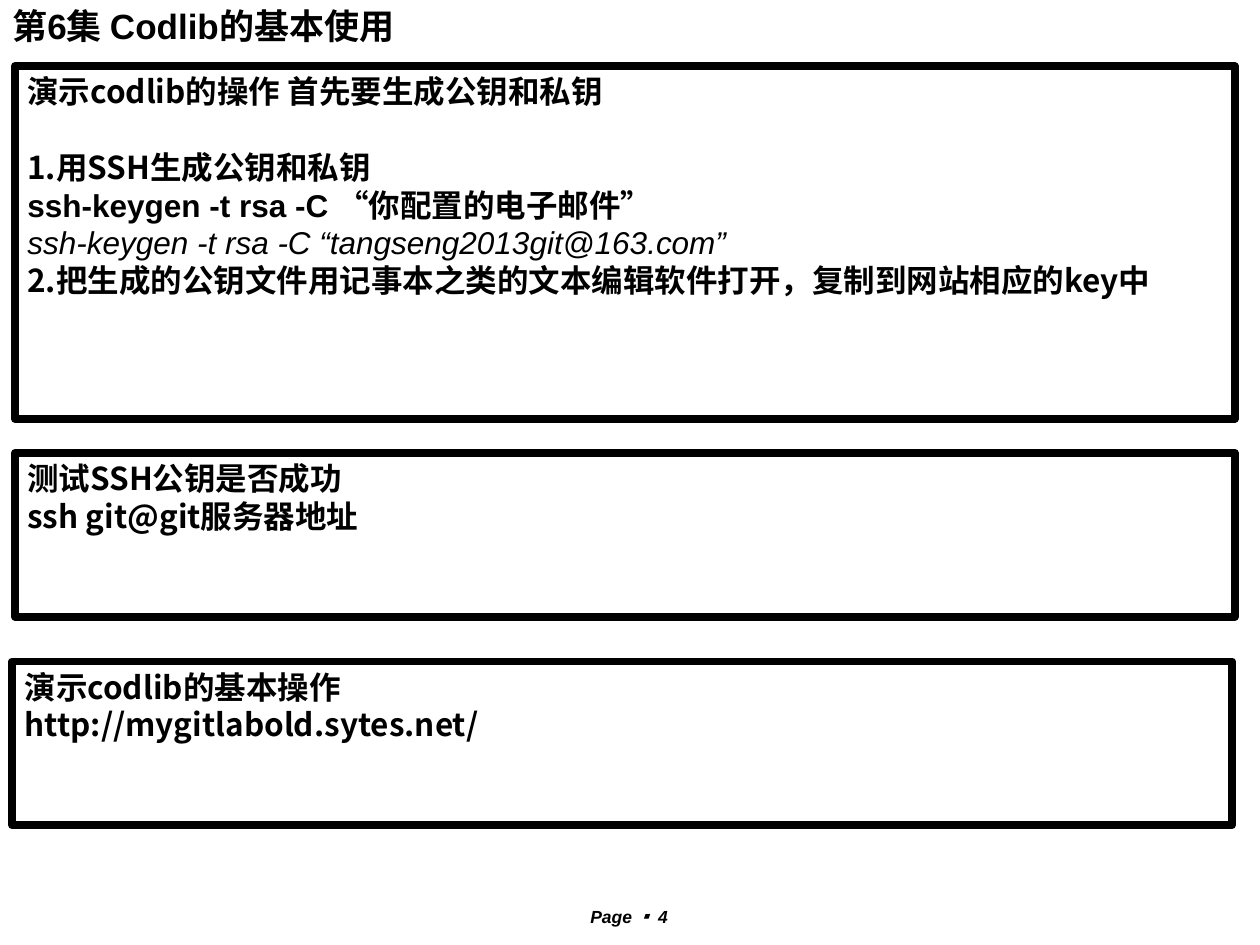
from dataclasses import dataclass
from pptx import Presentation
from pptx.dml.color import RGBColor
from pptx.enum.shapes import MSO_SHAPE
from pptx.enum.text import MSO_ANCHOR, PP_ALIGN
from pptx.oxml.ns import qn
from pptx.util import Pt


@dataclass(frozen=True)
class Theme:
    ink: RGBColor = RGBColor(0, 0, 0)
    latin: str = "Arial"
    cjk: str = "Noto Sans CJK SC"
    symbol: str = "Noto Sans CJK JP"
    title: float = 20
    body: float = 18
    footer: float = 10
    leading: float = 21.6
    border: float = 4.5


THEME = Theme()


def write(paragraph, text, size=THEME.body, face=THEME.cjk, bold=True, italic=False):
    run = paragraph.add_run()
    run.text = text
    font = run.font
    font.size, font.name = Pt(size), face
    font.bold, font.italic = bold, italic
    font.color.rgb = THEME.ink
    east_asian = THEME.cjk if face == THEME.latin else face
    properties = run._r.get_or_add_rPr()
    properties.append(properties.makeelement(qn("a:ea"), {"typeface": east_asian}))


class Page:
    def __init__(self, slide, theme):
        self.slide = slide
        self.theme = theme

    def label(self, left, top, width, height, parts, size,
              align=PP_ALIGN.LEFT, anchor=MSO_ANCHOR.TOP, italic=False):
        frame = self.slide.shapes.add_textbox(
            Pt(left), Pt(top), Pt(width), Pt(height)).text_frame
        frame.word_wrap = True
        frame.vertical_anchor = anchor
        paragraph = frame.paragraphs[0]
        paragraph.alignment = align
        for text, face in parts:
            write(paragraph, text, size=size, face=face, italic=italic)

    def panel(self, left, top, height, lines, width=697):
        panel = self.slide.shapes.add_shape(
            MSO_SHAPE.RECTANGLE, Pt(left), Pt(top), Pt(width), Pt(height))
        panel.shadow.inherit = False
        panel.fill.background()
        panel.line.color.rgb = self.theme.ink
        panel.line.width = Pt(self.theme.border)
        frame = panel.text_frame
        frame.word_wrap = True
        frame.vertical_anchor = MSO_ANCHOR.TOP
        for index, (text, gap, style) in enumerate(lines):
            paragraph = frame.add_paragraph() if index else frame.paragraphs[0]
            paragraph.alignment = PP_ALIGN.LEFT
            paragraph.line_spacing = Pt(self.theme.leading)
            paragraph.space_before = Pt(gap)
            write(paragraph, text, **style)


def main():
    deck = Presentation()
    deck.slide_width, deck.slide_height = Pt(720), Pt(540)
    page = Page(deck.slides.add_slide(deck.slide_layouts[6]), THEME)

    page.label(303, 514, 113, 16,
               [("Page ", THEME.latin), ("▪ ", THEME.symbol), ("4", THEME.latin)],
               THEME.footer, align=PP_ALIGN.CENTER, italic=True)
    page.label(0, -8, 647, 45, [("第6集 Codlib的基本使用", THEME.latin)],
               THEME.title, anchor=MSO_ANCHOR.MIDDLE)

    command = {"face": THEME.latin}
    example = {"face": THEME.latin, "bold": False, "italic": True}
    page.panel(8.6, 37.8, 201.6, [
        ("演示codlib的操作 首先要生成公钥和私钥", 0, {}),
        ("1.用SSH生成公钥和私钥", THEME.leading, {}),
        ("ssh-keygen -t rsa -C “你配置的电子邮件”", 0, command),
        ("ssh-keygen -t rsa -C “tangseng2013git@163.com”", 0, example),
        ("2.把生成的公钥文件用记事本之类的文本编辑软件打开，复制到网站相应的key中", 0, {}),
    ])
    page.panel(8.6, 258.8, 93.6, [
        ("测试SSH公钥是否成功", 0, {}),
        ("ssh git@git服务器地址", 0, {}),
    ])
    page.panel(7, 378, 93.6, [
        ("演示codlib的基本操作", 0, {}),
        ("http://mygitlabold.sytes.net/", 0, {}),
    ])
    deck.save("out.pptx")


if __name__ == "__main__":
    main()
